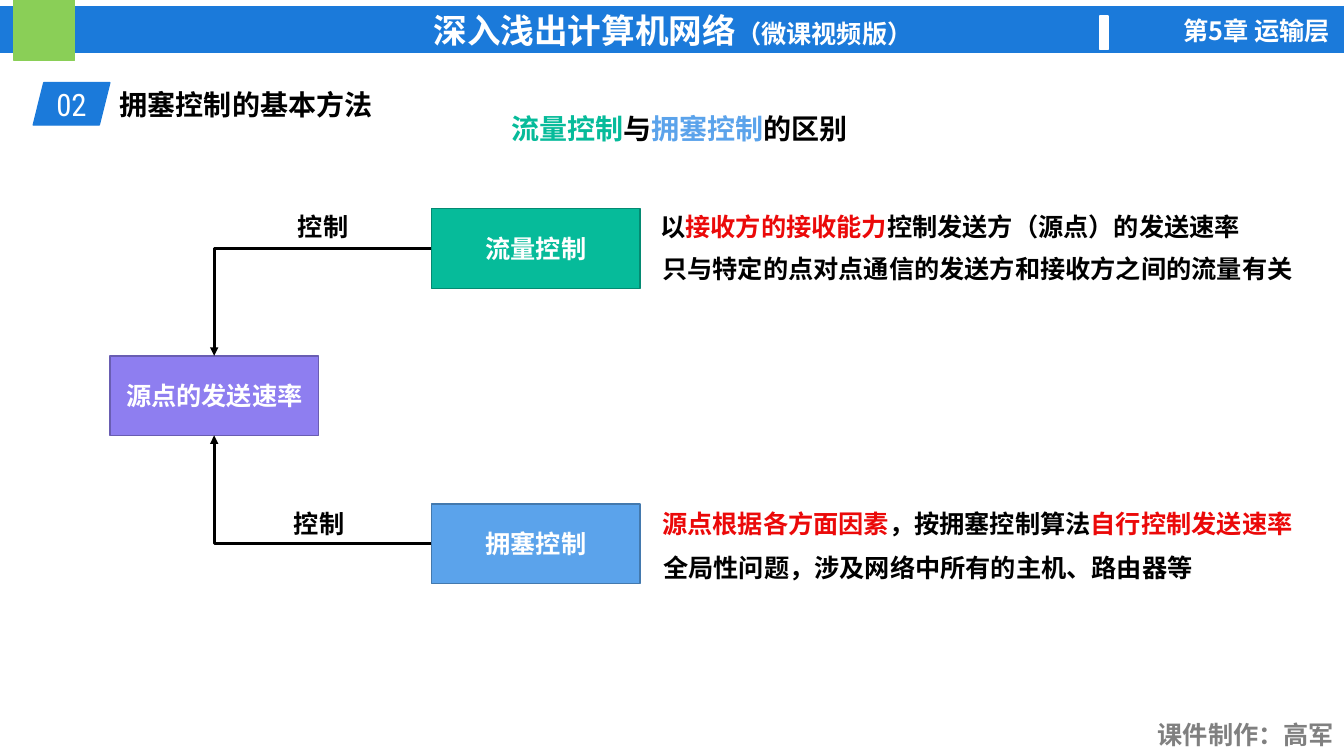
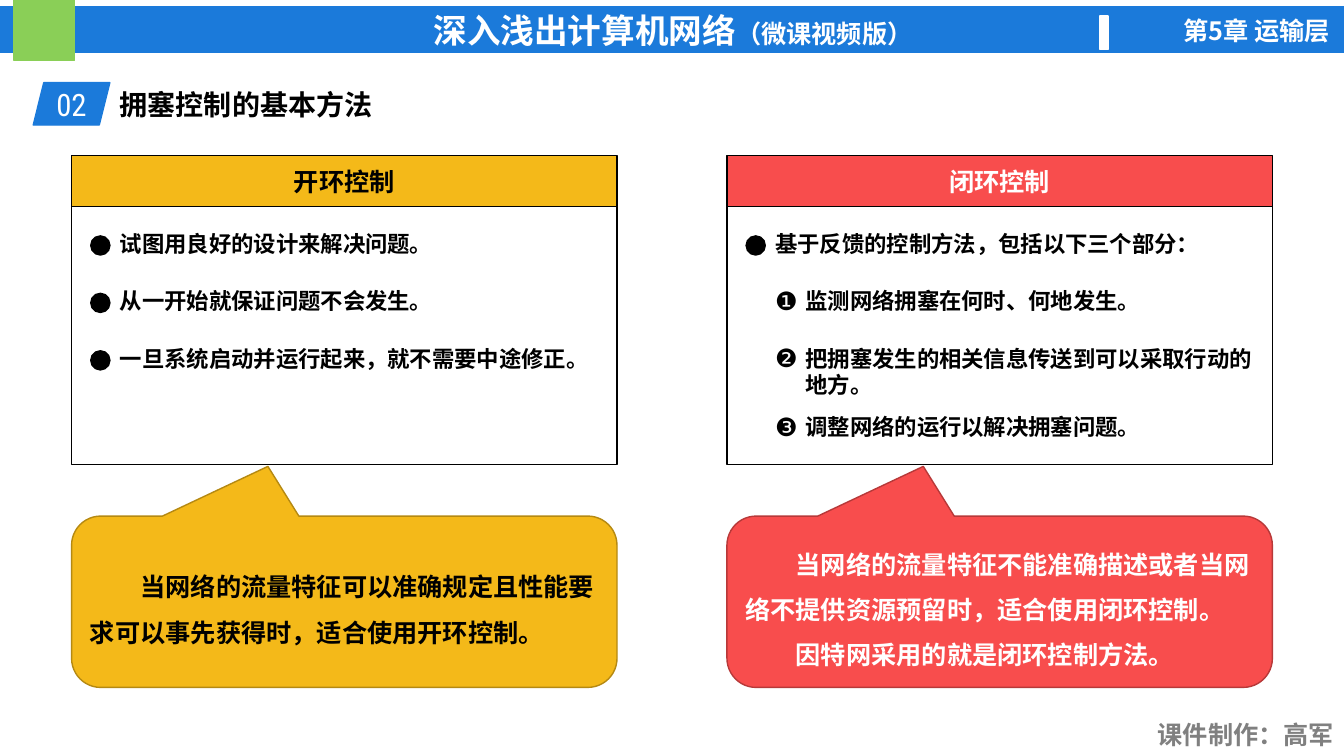
from lxml.etree import SubElement
from pptx import Presentation
from pptx.dml.color import RGBColor
from pptx.enum.shapes import MSO_CONNECTOR as Link, MSO_SHAPE as Kind
from pptx.enum.text import MSO_ANCHOR as Anchor, PP_ALIGN as Align
from pptx.oxml.ns import qn
from pptx.util import Inches, Pt

BLACK, WHITE, GREY = "000000", "FFFFFF", "808080"
BLUE, LIME, RED = "1B7ADA", "8ACF57", "EB0909"
TEAL, SKY, VIOLET = "06BB9A", "5BA3EB", "8E7EF0"
AMBER, CORAL = "F4B919", "F84D4D"


def rgb(value):
    return RGBColor.from_string(value)


class Deck:
    latin, east_asian = "Arial Narrow", "Noto Sans CJK SC"

    def __init__(self):
        self.file = Presentation()
        self.file.slide_width, self.file.slide_height = Inches(13.33), Inches(7.5)
        self.slide = None

    def new_slide(self, number, heading):
        self.slide = self.file.slides.add_slide(self.file.slide_layouts[6])
        self.shape((0, 0.07, 13.35, 0.45), BLUE,
                   text=[[("深入浅出计算机网络", {"size": 24}), ("（微课视频版）", {})]])
        self.shape((0.14, 0, 0.6, 0.6), LIME)
        self.shape((10.91, 0.16, 0.08, 0.33), WHITE)
        self.text((11.11, 0.1, 2.18, 0.4), "第5章 运输层", Align.RIGHT,
                  color=WHITE, name=self.east_asian)
        self.text((11.34, 7.09, 1.99, 0.4), "课件制作：高军", Align.RIGHT, color=GREY)
        self.shape((0.33, 0.82, 0.76, 0.42), BLUE, kind=Kind.PARALLELOGRAM, text=number,
                   size=22, name="Roboto Condensed", bold=False)
        self.text((1.09, 0.82, 6.01, 0.44), heading, size=20)

    def fill_text(self, frame, text, align, spacing=None, indent=0, **style):
        frame.word_wrap = True
        paragraphs = [[(text, {})]] if isinstance(text, str) else text
        for index, runs in enumerate(paragraphs):
            paragraph = frame.add_paragraph() if index else frame.paragraphs[0]
            paragraph.alignment = align
            if spacing:
                paragraph.line_spacing = spacing
            if indent:
                paragraph._p.get_or_add_pPr().set("indent", str(Inches(indent)))
            for words, changes in runs:
                run = paragraph.add_run()
                run.text = words
                self.style_font(run, {**style, **changes})

    def style_font(self, run, changes):
        values = {"name": self.latin, "size": 18, "bold": True, "color": BLACK, **changes}
        run.font.color.rgb = rgb(values.pop("color"))
        values["size"] = Pt(values["size"])
        for attribute, value in values.items():
            setattr(run.font, attribute, value)
        SubElement(run._r.get_or_add_rPr(), qn("a:ea"), typeface=self.east_asian)

    def text(self, box, text, align=Align.LEFT, **style):
        label = self.slide.shapes.add_textbox(*map(Inches, box))
        self.fill_text(label.text_frame, text, align, **style)

    def shape(self, box, fill=None, edge=None, kind=Kind.RECTANGLE, text=None,
              align=Align.CENTER, adjust=(), **style):
        shape = self.slide.shapes.add_shape(kind, *map(Inches, box))
        shape.shadow.inherit = False
        if fill:
            shape.fill.solid()
            shape.fill.fore_color.rgb = rgb(fill)
        else:
            shape.fill.background()
        shape.line.color.rgb = rgb(edge or fill)
        shape.line.width = Pt(1)
        for index, value in enumerate(adjust):
            shape.adjustments[index] = value
        if text:
            shape.text_frame.vertical_anchor = Anchor.MIDDLE
            self.fill_text(shape.text_frame, text, align, **{"color": WHITE, **style})
        return shape

    def elbow_arrow(self, start, start_side, end, end_side):
        arrow = self.slide.shapes.add_connector(Link.ELBOW, 0, 0, 0, 0)
        arrow.begin_connect(start, start_side)
        arrow.end_connect(end, end_side)
        arrow.line.color.rgb = rgb(BLACK)
        arrow.line.width = Pt(2)
        properties = arrow._element.spPr
        properties.find(qn("a:prstGeom")).set("prst", "bentConnector2")
        SubElement(properties.find(qn("a:ln")), qn("a:tailEnd"), type="triangle")
        SubElement(properties, qn("a:effectLst"))

    def panel(self, left, title, fill, edge, color, tip, advice):
        width = 5.41
        self.shape((left, 1.54, width, 0.51), fill, BLACK, text=title, color=color)
        self.shape((left, 2.05, width, 2.56), edge=BLACK)
        self.shape((left, 5.12, width, 1.7), fill, edge, Kind.ROUNDED_RECTANGULAR_CALLOUT,
                   [[(sentence, {})] for sentence in advice], Align.LEFT,
                   (*tip, 0.17), color=color, spacing=1.5, indent=0.5)

    def bullet(self, left, top, text):
        self.shape((left + 0.19, top + 0.11, 0.19, 0.19), BLACK, kind=Kind.OVAL)
        self.text((left + 0.38, top, 5.03, 0.37), text, size=16)

    def numbered(self, left, top, mark, text):
        self.text((left + 0.38, top - 0.02, 0.42, 0.4), mark, bold=False)
        self.text((left + 0.68, top, 4.73, 0.37), text, size=16)


def compare_controls(deck):
    deck.new_slide("02", "拥塞控制的基本方法")
    deck.text((4.96, 1.06, 3.56, 0.44),
              [[("流量控制", {"color": TEAL}), ("与", {}),
                ("拥塞控制", {"color": SKY}), ("的区别", {})]], Align.CENTER, size=20)
    width, height = 2.07, 0.79
    rate = deck.shape((1.09, 3.53, width, height), VIOLET, "695DB2", text="源点的发送速率")
    controls = [
        ("流量控制", 2.07, TEAL, "048A72", 0, 2.74, 2.05),
        ("拥塞控制", 5, SKY, "4379AE", 2, 2.7, 4.99),
    ]
    for name, top, fill, edge, rate_side, label_left, label_top in controls:
        control = deck.shape((4.28, top, width, height), fill, edge, text=name)
        deck.elbow_arrow(control, 1, rate, rate_side)
        deck.text((label_left, label_top, 0.93, 0.4), "控制", Align.CENTER)
    red = {"color": RED}
    explanations = [
        (6.45, 2.05, [("以", {}), ("接收方的接收能力", red),
                      ("控制发送方（源点）的发送速率", {})]),
        (6.47, 2.46, [("只与特定的点对点通信的发送方和接收方之间的流量有关", {})]),
        (6.47, 4.99, [("源点根据各方面因素", red), ("，按拥塞控制算法", {}),
                      ("自行控制发送速率", red)]),
        (6.48, 5.43, [("全局性问题，涉及网络中所有的主机、路由器等", {})]),
    ]
    for left, top, runs in explanations:
        deck.text((left, top, 6.55, 0.4), [runs])


def compare_loops(deck):
    deck.new_slide("02", "拥塞控制的基本方法")
    open_left, closed_left = 0.71, 7.21
    rows = [2.23, 2.8, 3.37]
    deck.panel(open_left, "开环控制", AMBER, "B58912", BLACK, (-0.14, -0.79),
               ["当网络的流量特征可以准确规定且性能要求可以事先获得时，适合使用开环控制。"])
    deck.panel(closed_left, "闭环控制", CORAL, "B73939", WHITE, (-0.14, -0.79),
               ["当网络的流量特征不能准确描述或者当网络不提供资源预留时，适合使用闭环控制。",
                "因特网采用的就是闭环控制方法。"])
    ideas = ["试图用良好的设计来解决问题。", "从一开始就保证问题不会发生。",
             "一旦系统启动并运行起来，就不需要中途修正。"]
    for top, idea in zip(rows, ideas):
        deck.bullet(open_left, top, idea)
    deck.bullet(closed_left, rows[0], "基于反馈的控制方法，包括以下三个部分：")
    steps = ["监测网络拥塞在何时、何地发生。",
             "把拥塞发生的相关信息传送到可以采取行动的地方。",
             "调整网络的运行以解决拥塞问题。"]
    for top, mark, step in zip([*rows[1:], 4.05], "❶❷❸", steps):
        deck.numbered(closed_left, top, mark, step)


def main():
    deck = Deck()
    compare_controls(deck)
    compare_loops(deck)
    deck.file.save("out.pptx")


if __name__ == "__main__":
    main()
